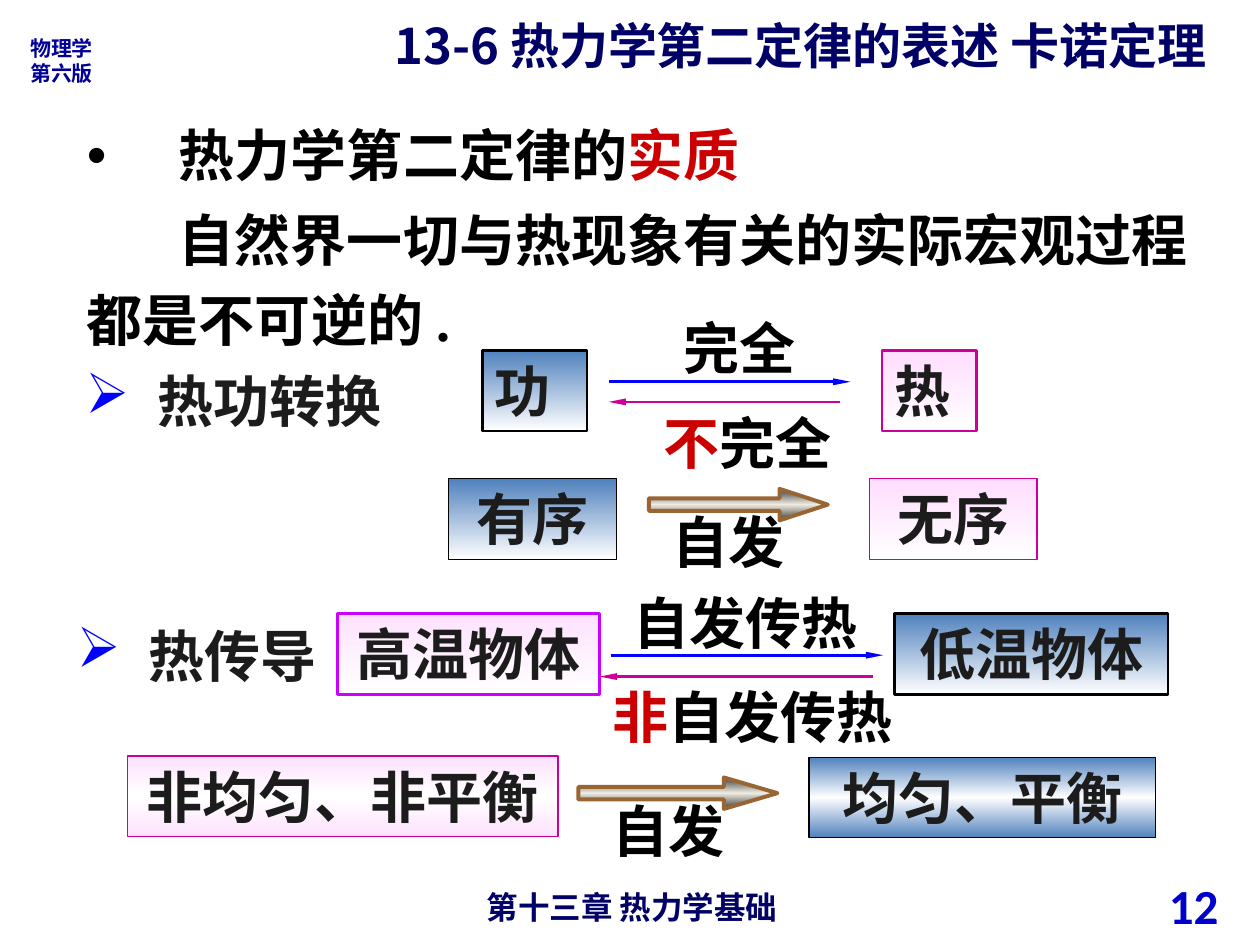
from lxml import etree
from pptx import Presentation
from pptx.dml.color import RGBColor
from pptx.enum.shapes import MSO_CONNECTOR, MSO_SHAPE
from pptx.enum.text import MSO_ANCHOR, MSO_AUTO_SIZE, PP_ALIGN
from pptx.oxml.ns import qn
from pptx.util import Inches, Pt

LEFT, CENTER, RIGHT = PP_ALIGN.LEFT, PP_ALIGN.CENTER, PP_ALIGN.RIGHT
TOP, MIDDLE = MSO_ANCHOR.TOP, MSO_ANCHOR.MIDDLE
FIT, FIXED = MSO_AUTO_SIZE.SHAPE_TO_FIT_TEXT, MSO_AUTO_SIZE.NONE
RECTANGLE, BLOCK_ARROW = MSO_SHAPE.RECTANGLE, MSO_SHAPE.RIGHT_ARROW
STRAIGHT = MSO_CONNECTOR.STRAIGHT

COLORS = {
    "black": "000000", "ink": "1C1C1C", "red": "CC0000", "navy": "000066",
    "edition": "000099", "number": "0000CC", "forward": "0000FF",
    "backward": "CC0099", "violet": "CC00FF", "bronze": "996633",
    "steel": "4F81BD", "white": "FFFFFF", "pink": "FFDDFF", "blush": "FDE2FE",
    "shade": "3B3B3B", "cream": "EEECE1",
}
SANS, CJK, SERIF, NUMBER = "Arial", "Noto Sans CJK SC", "Times New Roman", "Calibri"
ROW_HEIGHT = 0.64


def rgb(name):
    return RGBColor.from_string(COLORS[name])


class SlideBuilder:
    """Holds the body style and the current slide."""

    def __init__(self, slide, font=SANS, size=32):
        self.slide = slide
        self.font = font
        self.size = size

    def place(self, shape, left, top, width, height):
        shape.left, shape.top = Inches(left), Inches(top)
        shape.width, shape.height = Inches(width), Inches(height)

    def frame(self, shape, anchor=TOP, auto_size=FIT):
        frame = shape.text_frame
        frame.word_wrap = True
        frame.auto_size = auto_size
        frame.vertical_anchor = anchor
        return frame

    def fill_paragraph(self, para, spans, color="black", font=None, size=None, align=LEFT):
        """Add spans to a paragraph; a span is a text or a (text, color, font) triple."""
        para.alignment = align
        para.space_before = Pt(0)
        para.font.name = font or self.font
        para.font.size = Pt(size or self.size)
        para.font.bold = True
        para.font.color.rgb = rgb(color)
        for span in spans:
            text, span_color, span_font = (span, None, None) if isinstance(span, str) else span
            run = para.add_run()
            run.text = text
            if span_color:
                run.font.color.rgb = rgb(span_color)
            if span_font:
                run.font.name = span_font

    def indent(self, para, margin, first, bullet=None, color="black"):
        props = para._p.get_or_add_pPr()
        props.set("marL", str(Inches(margin)))
        props.set("indent", str(Inches(first)))
        if bullet:
            bullet_color = etree.SubElement(props, qn("a:buClr"))
            etree.SubElement(bullet_color, qn("a:srgbClr"), val=COLORS[color])
            etree.SubElement(props, qn("a:buChar"), char=bullet)
        else:
            etree.SubElement(props, qn("a:buNone"))

    def title(self, text, *position):
        shape = self.slide.shapes.title
        self.place(shape, *position)
        para = self.frame(shape, auto_size=FIXED).paragraphs[0]
        self.fill_paragraph(para, [text], "navy", CJK, 28)

    def body(self, heading, statement, *position):
        shape = self.slide.placeholders[1]
        self.place(shape, *position)
        frame = self.frame(shape, auto_size=FIXED)
        para = frame.paragraphs[0]
        self.indent(para, 0.73, -0.73, "•")
        self.fill_paragraph(para, heading, font=SERIF)
        para = frame.add_paragraph()
        self.indent(para, 0, 0.73)
        self.fill_paragraph(para, statement)
        para.line_spacing = 1.2
        para.space_before = Pt(2)

    def label(self, lines, left, top, width, height=ROW_HEIGHT, anchor=TOP, **style):
        """Add a text box; each line is a list of spans."""
        box = self.slide.shapes.add_textbox(
            Inches(left), Inches(top), Inches(width), Inches(height))
        frame = self.frame(box, anchor, FIXED)
        for index, spans in enumerate(lines):
            para = frame.add_paragraph() if index else frame.paragraphs[0]
            self.fill_paragraph(para, spans, **style)

    def topic(self, text, left, top, width):
        box = self.slide.shapes.add_textbox(
            Inches(left), Inches(top), Inches(width), Inches(ROW_HEIGHT))
        para = self.frame(box).paragraphs[0]
        self.indent(para, 0.57, -0.57, "➢", "forward")
        self.fill_paragraph(para, [text], "ink")

    def gradient_shape(self, kind, left, top, width, height, stops, line, weight):
        """Add a shape whose evenly spaced colour stops run downwards."""
        shape = self.slide.shapes.add_shape(
            kind, Inches(left), Inches(top), Inches(width), Inches(height))
        shape.shadow.inherit = False
        shape.fill.gradient()
        shape.fill.gradient_angle = 270
        stop_list = shape._element.spPr.find(".//" + qn("a:gsLst"))
        stop_list.clear()
        for index, color in enumerate(stops):
            position = 100000 * index // (len(stops) - 1)
            stop = etree.SubElement(stop_list, qn("a:gs"), pos=str(position))
            etree.SubElement(stop, qn("a:srgbClr"), val=COLORS[color])
        shape.line.color.rgb = rgb(line)
        shape.line.width = Pt(weight)
        return shape

    def state(self, text, left, top, width, stops, line, weight, align=CENTER):
        shape = self.gradient_shape(
            RECTANGLE, left, top, width, ROW_HEIGHT, stops, line, weight)
        self.fill_paragraph(self.frame(shape).paragraphs[0], [text], "ink", align=align)

    def block_arrow(self, left, top, width, head):
        shape = self.gradient_shape(BLOCK_ARROW, left, top, width, 0.25,
                                    ["shade", "cream", "shade"], "bronze", 2.25)
        shape.adjustments[0], shape.adjustments[1] = 0.4, head

    def arrow(self, start, end, y, color):
        line = self.slide.shapes.add_connector(
            STRAIGHT, Inches(start), Inches(y), Inches(end), Inches(y))
        line.line.color.rgb = rgb(color)
        line.line.width = Pt(1.5)
        etree.SubElement(line.line._get_or_add_ln(), qn("a:tailEnd"),
                         type="triangle", w="sm", len="lg")
        etree.SubElement(line._element.spPr, qn("a:effectLst"))


def main():
    deck = Presentation()
    deck.slide_width, deck.slide_height = Inches(10), Inches(7.5)
    page = SlideBuilder(deck.slides.add_slide(deck.slide_layouts[1]))

    page.title("13-6 热力学第二定律的表述 卡诺定理", 3.03, 0.07, 6.85, 1.04)
    page.body(["热力学第二定律的", ("实质", "red", None)],
              ["自然界一切与热现象有关的实际宏观过程都是不可逆的 ", (".", None, SERIF)],
              0.59, 0.91, 9.08, 1.95)
    page.label([["物理学"], ["第六版"]], 0.14, 0.23, 0.72, 0.5,
               color="edition", font=CJK, size=12)
    page.label([["第十三章 热力学基础"]], 3.43, 7, 3.17, 0.29,
               color="navy", font=CJK, size=18, align=CENTER)
    page.label([["12"]], 7.44, 6.98, 2.33, 0.4, MIDDLE,
               color="number", font=NUMBER, size=28, align=RIGHT)

    # Work and heat
    page.topic("热功转换", 0.58, 2.86, 3.2)
    page.state("功", 3.83, 2.78, 0.83, ["steel", "white"], "black", 1.5, LEFT)
    page.state("热", 7, 2.78, 0.75, ["pink", "white"], "backward", 1.5, LEFT)
    page.arrow(4.83, 6.75, 3.03, "forward")
    page.arrow(6.67, 4.83, 3.19, "backward")
    page.label([["完全"]], 5.33, 2.44, 1.5)
    page.label([[("不", "red", None), "完全"]], 5.17, 3.19, 2.2)

    # Order and disorder
    page.state("有序", 3.56, 3.8, 1.33, ["steel", "white"], "black", 0.5)
    page.state("无序", 6.9, 3.8, 1.33, ["pink", "white"], "backward", 0.75)
    page.block_arrow(5.15, 3.88, 1.42, 1.53)
    page.label([["自发"]], 5.24, 3.98, 1.41)

    # Heat conduction
    page.topic("热传导", 0.51, 4.88, 2.15)
    page.state("高温物体", 2.68, 4.87, 2.08, ["blush", "white"], "violet", 1.5)
    page.state("低温物体", 7.1, 4.87, 2.17, ["steel", "white"], "black", 1.5)
    page.arrow(4.85, 7.01, 5.2, "forward")
    page.arrow(6.93, 4.76, 5.37, "backward")
    page.label([["自发传热"]], 4.93, 4.62, 2.33)
    page.label([[("非", "red", None), "自发传热"]], 4.76, 5.37, 2.59)

    # Uniformity and balance
    page.state("非均匀、非平衡", 1.01, 6, 3.42, ["blush", "white", "blush"], "backward", 0.75)
    page.state("均匀、平衡", 6.42, 6.01, 2.75, ["steel", "white", "steel"], "black", 0.75)
    page.block_arrow(4.59, 6.17, 1.58, 1.7)
    page.label([["自发"]], 4.76, 6.27, 2)

    deck.save("out.pptx")


if __name__ == "__main__":
    main()
